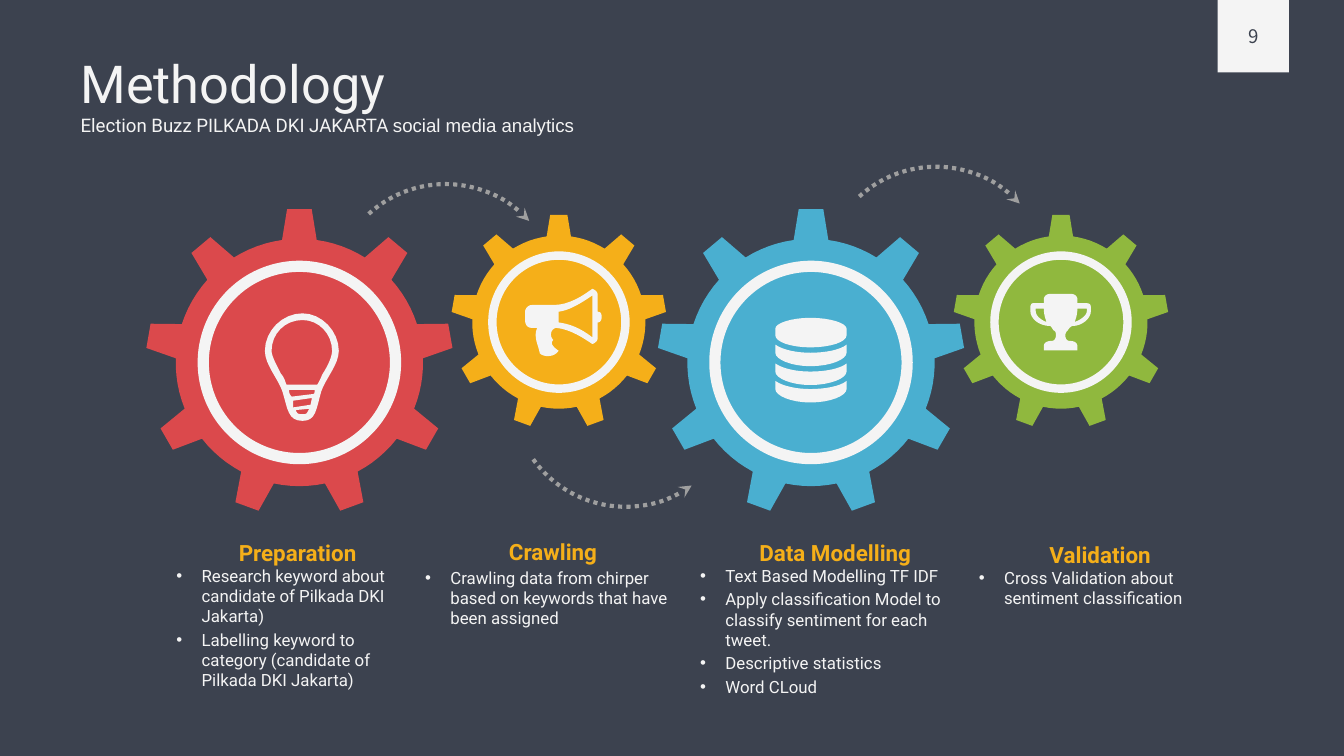
import math
import lxml.etree
import pptx
import pptx.dml.color
import pptx.enum.dml
import pptx.enum.shapes
import pptx.enum.text
import pptx.oxml.ns
import pptx.util

Pt = pptx.util.Pt
qn = pptx.oxml.ns.qn
KIND = pptx.enum.shapes.MSO_SHAPE
ALIGN = pptx.enum.text.PP_ALIGN
ANCHOR = pptx.enum.text.MSO_ANCHOR

DARK, LIGHT, GOLD, GREY = "3C424F", "F4F4F4", "F5AF19", "9F9F9F"
UNIT = 0.72

GEARS = [
    (160.4, 194.2, 1, 103, 6, "DB494C"),
    (299.4, 172.6, 0.7, 71.3, 4.5, GOLD),
    (434.5, 194.2, 1, 103, 6, "4AAFD0"),
    (568.4, 172.6, 0.7, 71.3, 4.5, "90B83E"),
]
ARCS = [(440.6, 89.3, -42.5, False), (274.3, 149.8, 54.4, True), (177.8, 98.6, -42.5, False)]

STEPS = [
    ("Preparation", 94.3, 288.7, 94.5, 302.9, 130.3, 67.7, [
        "Research keyword about candidate of Pilkada DKI Jakarta)",
        "Labelling keyword to category (candidate of Pilkada DKI Jakarta)"]),
    ("Crawling", 231.1, 288.3, 227.8, 304, 130.3, 43.9, [
        "Crawling data from chirper based on keywords that have been assigned"]),
    ("Data Modelling", 375.1, 288.7, 375.1, 302.9, 144.7, 82.8, [
        "Text Based Modelling TF IDF",
        "Apply classification Model to classify sentiment for each tweet.",
        "Descriptive statistics",
        "Word CLoud"]),
    ("Validation", 524.2, 290, 524.4, 304.2, 130.3, 21.6, [
        "Cross Validation about sentiment classification"]),
]

BULB = [
    [(28, 0), (13, 0, 0, 13, 0, 28), (0, 38, 10, 49, 13, 58), (17, 71, 17, 80, 28, 80),
     (38, 80, 38, 72, 42, 58), (45, 49, 55, 38, 55, 28), (55, 13, 42, 0, 28, 0)],
    [(39, 53), (16, 53), (15, 50, 14, 47, 12, 45), (9, 39, 5, 32, 5, 28), (5, 15, 15, 5, 28, 5),
     (40, 5, 50, 15, 50, 28), (50, 32, 47, 39, 43, 45), (42, 47, 41, 50, 39, 53)],
    [(34, 68), (21, 70), (21, 65), (35, 63)],
    [(20, 62), (19, 61, 18, 60, 18, 57), (37, 57), (37, 59, 37, 60, 36, 60)],
    [(28, 75), (25, 75, 24, 75, 23, 72), (33, 71), (31, 75, 31, 75, 28, 75)],
]
HORN = [
    [(57, 21), (57, 23, 56, 25, 54, 25), (54, 37), (54, 39, 51, 41, 50, 41),
     (44, 37, 34, 30, 23, 29), (19, 30, 18, 35, 21, 38), (18, 41, 22, 44, 25, 46),
     (22, 51, 14, 51, 11, 48), (10, 42, 6, 36, 9, 29), (5, 29), (2, 29, 0, 27, 0, 23),
     (0, 17), (0, 15, 2, 12, 5, 12), (21, 12), (33, 12, 43, 5, 50, 0),
     (51, 0, 54, 2, 54, 4), (54, 17), (56, 17, 57, 18, 57, 21)],
    [(50, 5), (41, 11, 33, 16, 25, 17), (25, 25), (33, 26, 41, 29, 50, 36)],
]
CUP = [
    [(45, 13), (45, 18, 39, 24, 31, 24), (29, 25, 28, 27, 28, 27), (27, 28, 26, 29, 26, 31),
     (26, 33, 27, 35, 29, 35), (32, 35, 35, 36, 35, 39), (35, 42), (10, 42), (10, 39),
     (10, 36, 13, 35, 16, 35), (18, 35, 19, 33, 19, 31), (19, 29, 19, 28, 17, 27),
     (17, 27, 16, 25, 15, 24), (6, 24, 0, 18, 0, 13), (0, 10), (0, 8, 1, 7, 2, 7),
     (10, 7), (10, 4), (10, 2, 12, 0, 15, 0), (30, 0), (33, 0, 35, 2, 35, 4),
     (35, 7), (42, 7), (44, 7, 45, 8, 45, 10)],
    [(10, 11), (4, 11), (4, 13), (4, 16, 7, 19, 12, 21), (11, 18, 10, 15, 10, 11)],
    [(42, 11), (35, 11), (35, 15, 34, 18, 33, 21), (38, 19, 42, 16, 42, 13)],
]
DISCS = [
    [(53, 8), (53, 13), (53, 18, 41, 22, 26, 22), (12, 22, 0, 18, 0, 13), (0, 8),
     (0, 4, 12, 0, 26, 0), (41, 0, 53, 4, 53, 8)],
] + [
    [(53, y), (53, y + 6), (53, y + 11, 41, y + 16, 26, y + 16), (12, y + 16, 0, y + 11, 0, y + 6),
     (0, y), (6, y + 4, 16, y + 6, 26, y + 6), (37, y + 6, 48, y + 4, 53, y)]
    for y in (20, 34, 47)
]
ICONS = [(552, 157.4, CUP), (415.4, 170.3, DISCS), (281.3, 154.8, HORN), (141.9, 167.9, BULB)]


def tint(code):
    return pptx.dml.color.RGBColor.from_string(code)


def paint(shape, fill=None, line=None, width=1):
    shape.shadow.inherit = False
    if fill:
        shape.fill.solid()
        shape.fill.fore_color.rgb = tint(fill)
    else:
        shape.fill.background()
    if line:
        shape.line.color.rgb = tint(line)
        shape.line.width = Pt(width)
    else:
        shape.line.fill.background()
    return shape


def write(par, text, font="Roboto", size=9, color=LIGHT, bold=False, align=ALIGN.LEFT, dot=False):
    run = par.add_run()
    run.text = text
    run.font.name, run.font.size, run.font.bold = font, Pt(size), bold
    run.font.color.rgb = tint(color)
    par.alignment = align
    if dot:
        par.space_before = Pt(1.8)
        props = par._p.get_or_add_pPr()
        props.set("marL", str(Pt(13.5)))
        props.set("indent", str(-Pt(13.5)))
        lxml.etree.SubElement(props, qn("a:buFont")).set("typeface", "Arial")
        lxml.etree.SubElement(props, qn("a:buChar")).set("char", "•")


def frame(x, y, w, h, pad=0, wrap=True, anchor=ANCHOR.TOP):
    body = slide.shapes.add_textbox(Pt(x), Pt(y), Pt(w), Pt(h)).text_frame
    body.word_wrap, body.vertical_anchor = wrap, anchor
    body.margin_left = body.margin_right = Pt(2 * pad)
    body.margin_top = body.margin_bottom = Pt(pad)
    return body


def curve(segs):
    dots = [segs[0]]
    for seg in segs[1:]:
        if len(seg) == 2:
            dots.append(seg)
            continue
        ends = [dots[-1], seg[:2], seg[2:4], seg[4:]]
        for step in range(1, 9):
            t = step / 8
            mix = ((1 - t) ** 3, 3 * t * (1 - t) ** 2, 3 * t * t * (1 - t), t ** 3)
            dots.append(tuple(sum(m * e[k] for m, e in zip(mix, ends)) for k in (0, 1)))
    return dots


def trace(x, y, scale, loops, fill):
    loops = [[(Pt(a * scale), Pt(b * scale)) for a, b in loop] for loop in loops]
    pen = slide.shapes.build_freeform(*loops[0][0], scale=1.0)
    for i, loop in enumerate(loops):
        if i:
            pen.move_to(*loop[0])
        pen.add_line_segments(loop[1:], close=True)
    paint(pen.convert_to_shape(Pt(x), Pt(y)), fill)


def cog(teeth=9, tip=82.1, top=6.6, root=65.6, base=9.3):
    pitch = 360 / teeth
    rim, half = math.hypot(root, base), math.degrees(math.atan(base / root))
    edge, slim = math.hypot(tip, top), math.degrees(math.atan(top / tip))
    gap = (pitch - 2 * half) / 6
    dots = []
    for n in range(teeth):
        polar = [(edge, -slim), (edge, slim)] + [(rim, half + gap * i) for i in range(7)]
        for r, turn in polar:
            a = math.radians(n * pitch + turn)
            dots.append((r * math.sin(a), -r * math.cos(a)))
    return dots


deck = pptx.Presentation()
deck.slide_width, deck.slide_height = Pt(720), Pt(405)
slide = deck.slides.add_slide(deck.slide_layouts[5])
slide.background.fill.solid()
slide.background.fill.fore_color.rgb = tint(DARK)

title = slide.shapes.title
title.left, title.top, title.width, title.height = Pt(36), Pt(16.2), Pt(648), Pt(67.7)
title.text_frame.vertical_anchor = ANCHOR.MIDDLE
head = title.text_frame.paragraphs[0]
write(head, "Methodology", size=28)
head.add_line_break()
write(head, "Election Buzz PILKADA DKI JAKARTA ", size=10)
write(head, "social media analytics", font="Arial", size=10)

paint(slide.shapes.add_shape(KIND.RECTANGLE, Pt(652.3), Pt(0), Pt(38.2), Pt(38.9)), LIGHT)
write(frame(658, 10, 26.8, 19.4, pad=3.6, wrap=False).paragraphs[0], "9",
      font="Noto Sans CJK KR", size=10, color=DARK, align=ALIGN.CENTER)

for name, hx, hy, x, y, w, h, notes in STEPS:
    label = frame(hx, hy, w, 14.4, anchor=ANCHOR.MIDDLE)
    write(label.paragraphs[0], name, size=12, color=GOLD, bold=True, align=ALIGN.CENTER)
    body = frame(x, y, w, h)
    for i, note in enumerate(notes):
        write(body.add_paragraph() if i else body.paragraphs[0], note, dot=True)

for x, y, scale, ring, width, color in GEARS:
    trace(x, y, scale, [cog()], color)
    disc = slide.shapes.add_shape(KIND.OVAL, Pt(x - ring / 2), Pt(y - ring / 2), Pt(ring), Pt(ring))
    paint(disc, color, LIGHT, width)

for x, y, turn, flip in ARCS:
    arc = paint(slide.shapes.add_shape(KIND.ARC, Pt(x), Pt(y), Pt(121.7), Pt(121.7)), None, GREY, 2.25)
    arc.rotation = turn
    arc.line.dash_style = pptx.enum.dml.MSO_LINE.ROUND_DOT
    props = arc._element.spPr
    if flip:
        props.find(qn("a:xfrm")).set("flipV", "1")
    lxml.etree.SubElement(props.find(qn("a:ln")), qn("a:tailEnd")).set("type", "stealth")

for x, y, loops in ICONS:
    trace(x, y, UNIT, [curve(loop) for loop in loops], LIGHT)

deck.save("out.pptx")
